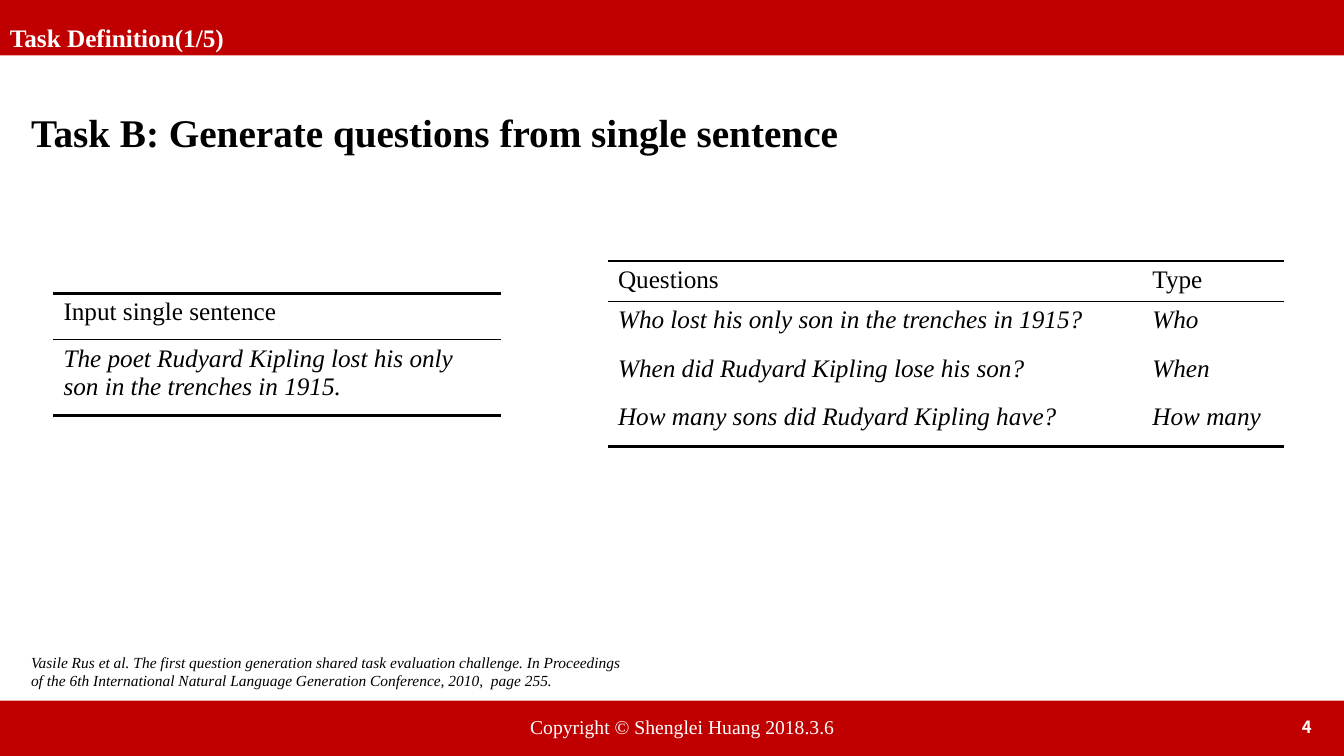
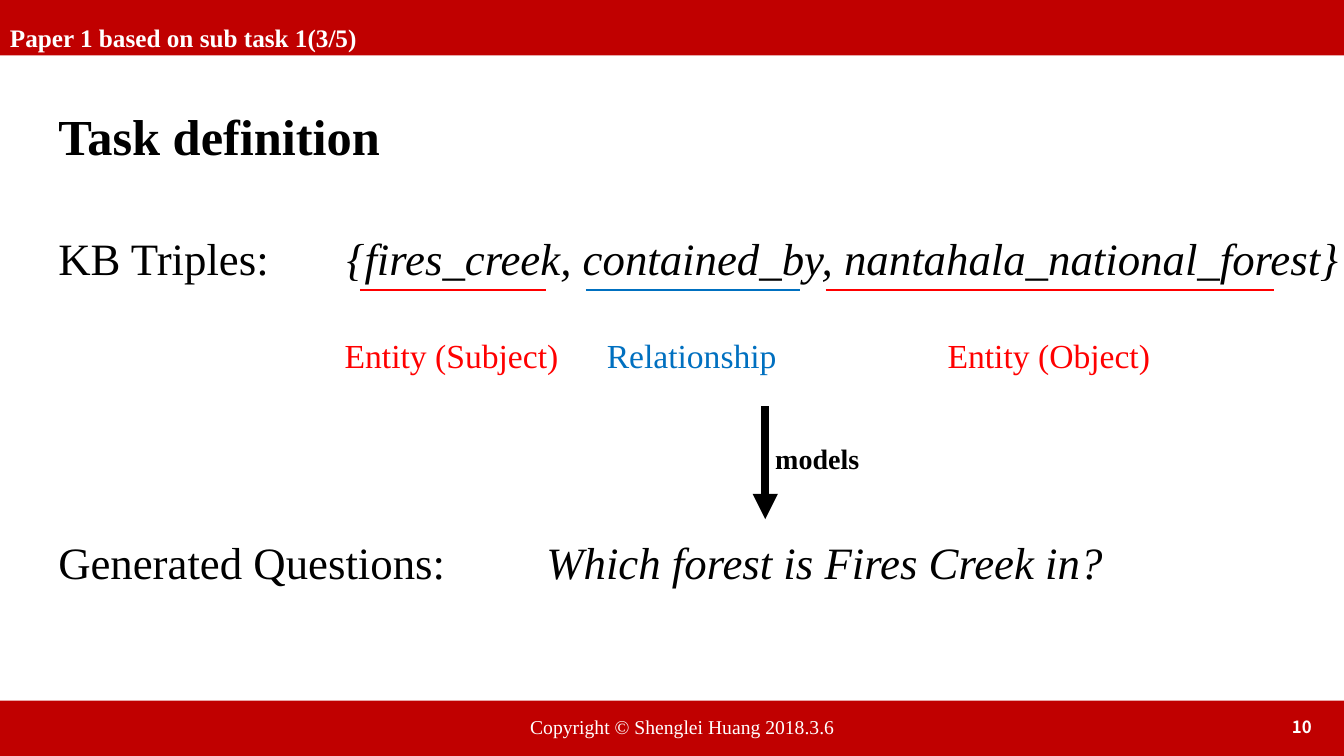
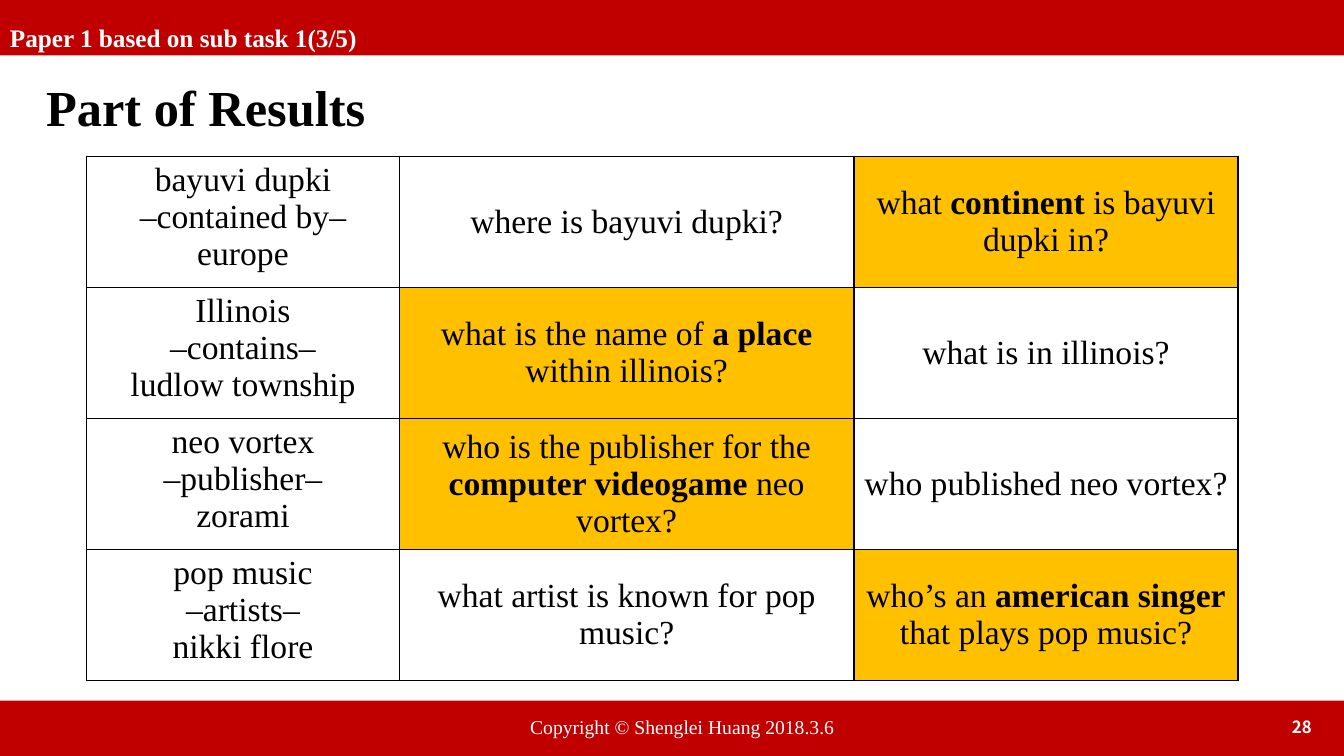
import pptx
import pptx.util
import pptx.dml.color
import pptx.enum.shapes
import pptx.enum.text
import pptx.oxml.ns
from lxml import etree

Inches = pptx.util.Inches
Pt = pptx.util.Pt
qn = pptx.oxml.ns.qn
ALIGN = pptx.enum.text.PP_ALIGN
ANCHOR = pptx.enum.text.MSO_ANCHOR
AUTO_SIZE = pptx.enum.text.MSO_AUTO_SIZE

SERIF = "Times New Roman"
SANS = "Noto Sans CJK SC"
RED, WHITE, BLACK = "C00000", "FFFFFF", "000000"
ENTITY, RELATION, HIGHLIGHT = "FF0000", "0070C0", "FFC000"
WIDTH, HEIGHT, BAND = 13.33, 7.5, 0.55
THICK, THIN = 2.25, 1

SECTION = {"size": Pt(18), "bold": True}
COPYRIGHT = {"size": Pt(14)}
NUMBER = {"size": Pt(12), "bold": True, "name": SANS}
TASK_TITLE = {"size": Pt(28), "bold": True}
TITLE = {"size": Pt(36), "bold": True}
CITATION = {"size": Pt(11), "italic": True}
BODY = {"size": Pt(32)}
EXAMPLE = {"size": Pt(32), "italic": True}
LABEL = {"size": Pt(24)}
ARROW_LABEL = {"size": Pt(20), "bold": True}
HEAD_CELL = {"size": Pt(18)}
BODY_CELL = {"size": Pt(18), "italic": True}
FIXED_FRAME = {"word_wrap": True, "auto_size": AUTO_SIZE.NONE}


def rgb(value):
    return pptx.dml.color.RGBColor.from_string(value)


def set_all(target, values):
    for name, value in values.items():
        setattr(target, name, value)


def write(tf, text, fmt, color=BLACK, para=None):
    for i, line in enumerate(text.split("\n")):
        p = tf.paragraphs[0] if i == 0 else tf.add_paragraph()
        set_all(p, para or {})
        for j, part in enumerate(line.split("*")):
            if part:
                r = p.add_run()
                r.text = part
                set_all(r.font, {"name": SERIF, **fmt})
                if j % 2:
                    r.font.bold = True
                r.font.color.rgb = rgb(color)


def add_text(s, box, text, fmt, color=BLACK, para=None, **frame):
    tf = s.shapes.add_textbox(*map(Inches, box)).text_frame
    set_all(tf, {"word_wrap": False, "auto_size": AUTO_SIZE.SHAPE_TO_FIT_TEXT, **frame})
    write(tf, text, fmt, color, para)


def add_band(s, top):
    rect = pptx.enum.shapes.MSO_SHAPE.RECTANGLE
    sp = s.shapes.add_shape(rect, *map(Inches, (0, top, WIDTH, BAND)))
    sp.shadow.inherit = False
    sp.fill.solid()
    sp.fill.fore_color.rgb = rgb(RED)
    sp.line.fill.background()


def add_line(s, start, end, color, width, arrow=False):
    kind = pptx.enum.shapes.MSO_CONNECTOR.STRAIGHT
    line = s.shapes.add_connector(kind, *map(Inches, start + end))
    line.line.color.rgb = rgb(color)
    line.line.width = Pt(width)
    if arrow:
        etree.SubElement(line.line._get_or_add_ln(), qn("a:tailEnd"), type="triangle")
    etree.SubElement(line._element.spPr, qn("a:effectLst"))


def set_borders(cell, widths):
    tcPr = cell._tc.get_or_add_tcPr()
    for side in "LRTB":
        width = widths.get(side, 0)
        ln = etree.SubElement(tcPr, qn("a:ln" + side), w=str(int(Pt(width))))
        if width:
            fill = etree.SubElement(ln, qn("a:solidFill"))
            etree.SubElement(fill, qn("a:srgbClr"), val=BLACK)
        else:
            etree.SubElement(ln, qn("a:noFill"))


def add_grid(s, left, top, cols, rows, data, style_cell):
    size = map(Inches, (left, top, sum(cols), sum(rows)))
    table = s.shapes.add_table(len(rows), len(cols), *size).table
    set_all(table, {"first_row": False, "horz_banding": False})
    for col, width in zip(table.columns, cols):
        col.width = Inches(width)
    for row, height in zip(table.rows, rows):
        row.height = Inches(height)
    for i, texts in enumerate(data):
        for j, text in enumerate(texts):
            style_cell(table.cell(i, j), text, i, j, len(rows) - 1)


def ruled_cell(cell, text, i, j, last):
    widths = {"T": {0: THICK, 1: THIN}.get(i, 0),
              "B": {0: THIN, last: THICK}.get(i, 0)}
    set_borders(cell, widths)
    cell.fill.background()
    write(cell.text_frame, text, BODY_CELL if i else HEAD_CELL)


def result_cell(cell, text, i, j, last):
    set_borders(cell, dict.fromkeys("LRTB", THIN))
    if "*" in text:
        cell.fill.solid()
        cell.fill.fore_color.rgb = rgb(HIGHLIGHT)
    else:
        cell.fill.background()
    cell.vertical_anchor = ANCHOR.MIDDLE if j else ANCHOR.TOP
    write(cell.text_frame, text, LABEL, para={"alignment": ALIGN.CENTER})


def add_slide(prs, section, section_width, number):
    s = prs.slides.add_slide(prs.slide_layouts[6])
    for top in (0, HEIGHT - BAND):
        add_band(s, top)
    add_text(s, (5.16, 7.04, 3.25, 0.34), "Copyright © Shenglei Huang 2018.3.6",
             COPYRIGHT, WHITE)
    add_text(s, (0, 0.02, section_width, 0.56), section, SECTION, WHITE,
             {"line_spacing": 1.5})
    add_text(s, (10.11, 7.01, 3, 0.4), number, NUMBER, WHITE,
             {"alignment": ALIGN.RIGHT}, vertical_anchor=ANCHOR.MIDDLE, **FIXED_FRAME)
    return s


def task_slide(prs):
    s = add_slide(prs, "Task Definition(1/5)", 2.35, "4")
    add_text(s, (0.21, 1.03, 8.29, 0.57),
             "Task B: Generate questions from single sentence", TASK_TITLE)
    add_grid(s, 0.53, 2.91, [4.44], [0.46, 0.75], [
        ["Input single sentence"],
        ["The poet Rudyard Kipling lost his only son in the trenches in 1915."],
    ], ruled_cell)
    add_grid(s, 6.03, 2.59, [5.3, 1.4], [0.4] + [0.48] * 3, [
        ["Questions", "Type"],
        ["Who lost his only son in the trenches in 1915?", "Who"],
        ["When did Rudyard Kipling lose his son?", "When"],
        ["How many sons did Rudyard Kipling have?", "How many"],
    ], ruled_cell)
    add_text(s, (0.21, 6.43, 6.06, 0.47),
             "Vasile Rus et al. The first question generation shared task evaluation "
             "challenge. In Proceedings of the 6th International Natural Language "
             "Generation Conference, 2010,  page 255.", CITATION, word_wrap=True)


def triples_slide(prs, section):
    s = add_slide(prs, section, 3.68, "10")
    add_text(s, (0.48, 0.99, 3.42, 0.71), "Task definition", TITLE)
    for left, top, width, text, fmt in [
        (0.48, 2.24, 2.5, "KB Triples:", BODY),
        (3.34, 2.24, 10.05, "{fires_creek, contained_by, nantahala_national_forest}", EXAMPLE),
        (0.48, 5.26, 4.3, "Generated Questions:", BODY),
        (5.32, 5.26, 5.9, "Which forest is Fires Creek in?", EXAMPLE),
    ]:
        add_text(s, (left, top, width, 0.64), text, fmt, margin_right=0, **FIXED_FRAME)
    for start, end, left, width, text, color in [
        (3.57, 5.42, 3.32, 2.34, "Entity (Subject)", ENTITY),
        (5.81, 7.93, 5.92, 1.9, "Relationship", RELATION),
        (8.19, 12.64, 9.3, 2.23, "Entity (Object)", ENTITY),
    ]:
        add_line(s, (start, 2.88), (end, 2.88), color, 1.5)
        add_text(s, (left, 3.27, width, 0.5), text, LABEL, color)
    add_line(s, (7.59, 4.03), (7.59, 5.15), BLACK, 6, arrow=True)
    add_text(s, (7.59, 4.33, 1.04, 0.44), "models", ARROW_LABEL)


def results_slide(prs, section):
    s = add_slide(prs, section, 3.68, "28")
    add_text(s, (0.36, 0.71, 3.79, 0.71), "Part of Results", TITLE, word_wrap=True)
    add_grid(s, 0.86, 1.55, [3.1, 4.51, 3.81], [1.3] * 4, [
        ["bayuvi dupki\n–contained by–\neurope",
         "where is bayuvi dupki?",
         "what *continent* is bayuvi dupki in?"],
        ["Illinois\n–contains–\nludlow township",
         "what is the name of *a place* within illinois?",
         "what is in illinois?"],
        ["neo vortex\n–publisher–\nzorami",
         "who is the publisher for the *computer videogame* neo vortex?",
         "who published neo vortex?"],
        ["pop music\n–artists–\nnikki flore",
         "what artist is known for pop music?",
         "who’s an *american singer* that plays pop music?"],
    ], result_cell)


def main():
    prs = pptx.Presentation()
    set_all(prs, {"slide_width": Inches(WIDTH), "slide_height": Inches(HEIGHT)})
    paper = "Paper 1 based on sub task 1(3/5)"
    task_slide(prs)
    triples_slide(prs, paper)
    results_slide(prs, paper)
    prs.save("out.pptx")


if __name__ == "__main__":
    main()
